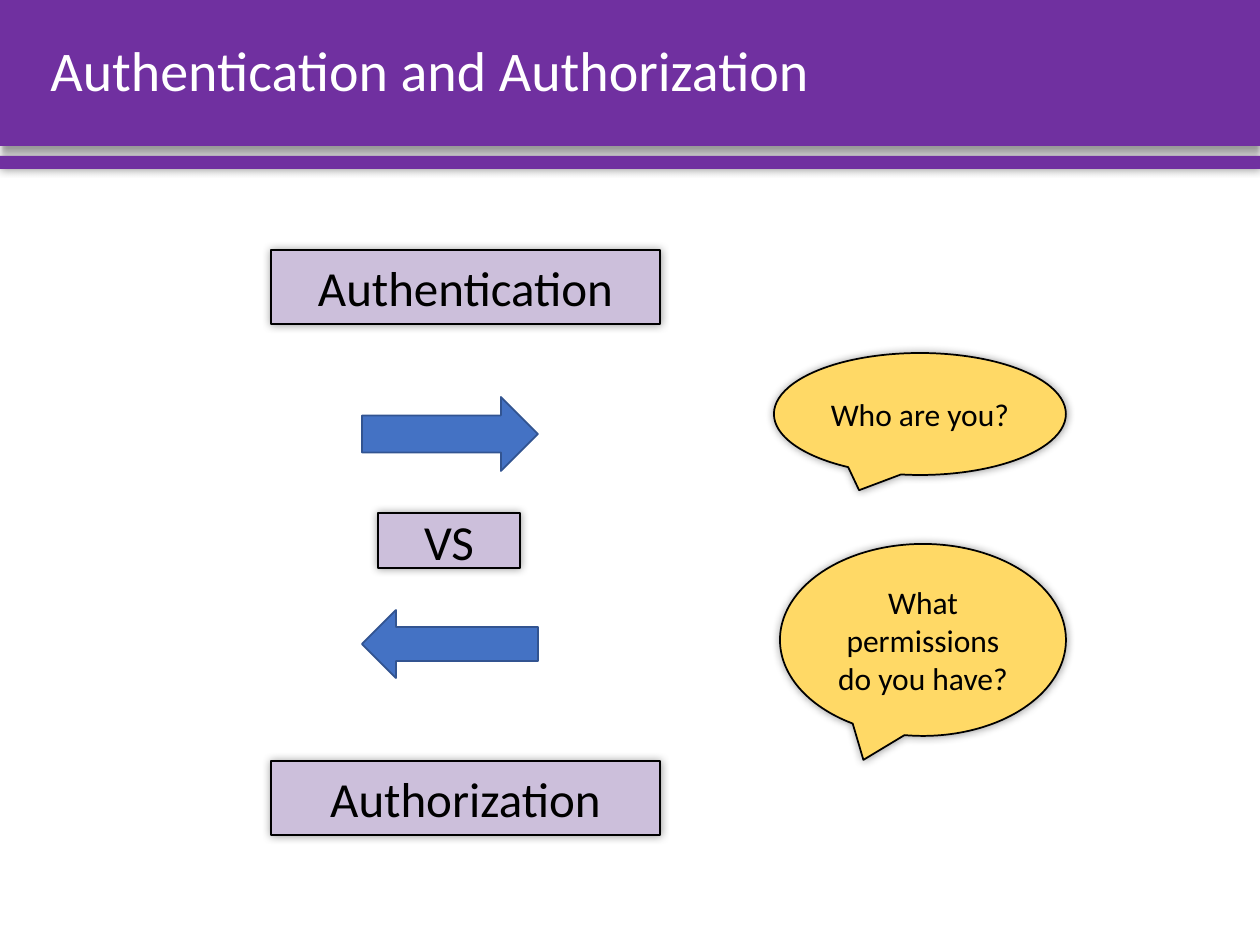
from lxml import etree
from pptx import Presentation
from pptx import util as u
from pptx.dml.color import RGBColor
from pptx.enum import shapes, text
from pptx.oxml.ns import qn

PX = 914400 / 126
COLORS = {
    "purple": "7030A0", "lilac": "CCBFDB", "yellow": "FFD966",
    "blue": "4472C4", "navy": "325491", "black": "000000", "white": "FFFFFF",
}
KIND = shapes.MSO_SHAPE


def add_block(kind, place, fill, line=None, shadow=None):
    """Add a filled shape; shadow is (blur, distance, degrees) in points."""
    shape = page.shapes.add_shape(kind, *[round(v * PX) for v in place])
    shape.fill.solid()
    shape.fill.fore_color.rgb = RGBColor.from_string(COLORS[fill])
    if line:
        shape.line.color.rgb = RGBColor.from_string(COLORS[line])
        shape.line.width = u.Pt(1)
    else:
        shape.line.fill.background()
    shape.shadow.inherit = False
    if shadow:
        blur, distance, degrees = shadow
        effects = shape._element.spPr.find(qn("a:effectLst"))
        outer = etree.SubElement(
            effects, qn("a:outerShdw"), blurRad=str(u.Pt(blur)),
            dist=str(u.Pt(distance)), dir=str(degrees * 60000), rotWithShape="0")
        color = etree.SubElement(outer, qn("a:srgbClr"), val=COLORS["black"])
        etree.SubElement(color, qn("a:alpha"), val="40000")
    return shape


def write(box, words, size, color="black", align=text.PP_ALIGN.CENTER, spacing=1.0):
    frame = box.text_frame
    frame.word_wrap = True
    frame.vertical_anchor = text.MSO_ANCHOR.MIDDLE
    para = frame.paragraphs[0]
    para.alignment = align
    para.line_spacing = spacing
    span = para.add_run()
    span.text = words
    span.font.name = "Calibri"
    span.font.size = u.Pt(size)
    span.font.color.rgb = RGBColor.from_string(COLORS[color])


deck = Presentation()
deck.slide_width, deck.slide_height = u.Inches(10), u.Inches(7.5)
page = deck.slides.add_slide(deck.slide_layouts[6])
GLOW = (5, 0, 0)

# Header band and stripe
add_block(KIND.RECTANGLE, (0, 0, 1260, 146), "purple", shadow=(4, 3, 90))
add_block(KIND.RECTANGLE, (0, 156, 1260, 13), "purple", shadow=GLOW)

# Title
title = page.shapes.add_textbox(*[round(v * PX) for v in (38, 0, 1192, 146)])
write(title, "Authentication and Authorization", 32, "white", text.PP_ALIGN.LEFT, 0.9)

# Compared terms and speech bubbles
labels = [
    (KIND.RECTANGLE, (271, 250, 389, 74), "lilac", "Authentication", 28),
    (KIND.RECTANGLE, (271, 761, 389, 74), "lilac", "Authorization", 28),
    (KIND.RECTANGLE, (378, 513, 142, 55), "lilac", "VS", 28),
    (KIND.OVAL_CALLOUT, (774, 353, 292, 122), "yellow", "Who are you?", 18),
    (KIND.OVAL_CALLOUT, (780, 544, 286, 192), "yellow",
     "What permissions do you have?", 18),
]
for kind, place, fill, words, size in labels:
    write(add_block(kind, place, fill, "black", GLOW), words, size)

# Opposing arrows
add_block(KIND.RIGHT_ARROW, (362, 397, 176, 74), "blue", "navy")
add_block(KIND.LEFT_ARROW, (362, 610, 176, 68), "blue", "navy")

deck.save("out.pptx")
